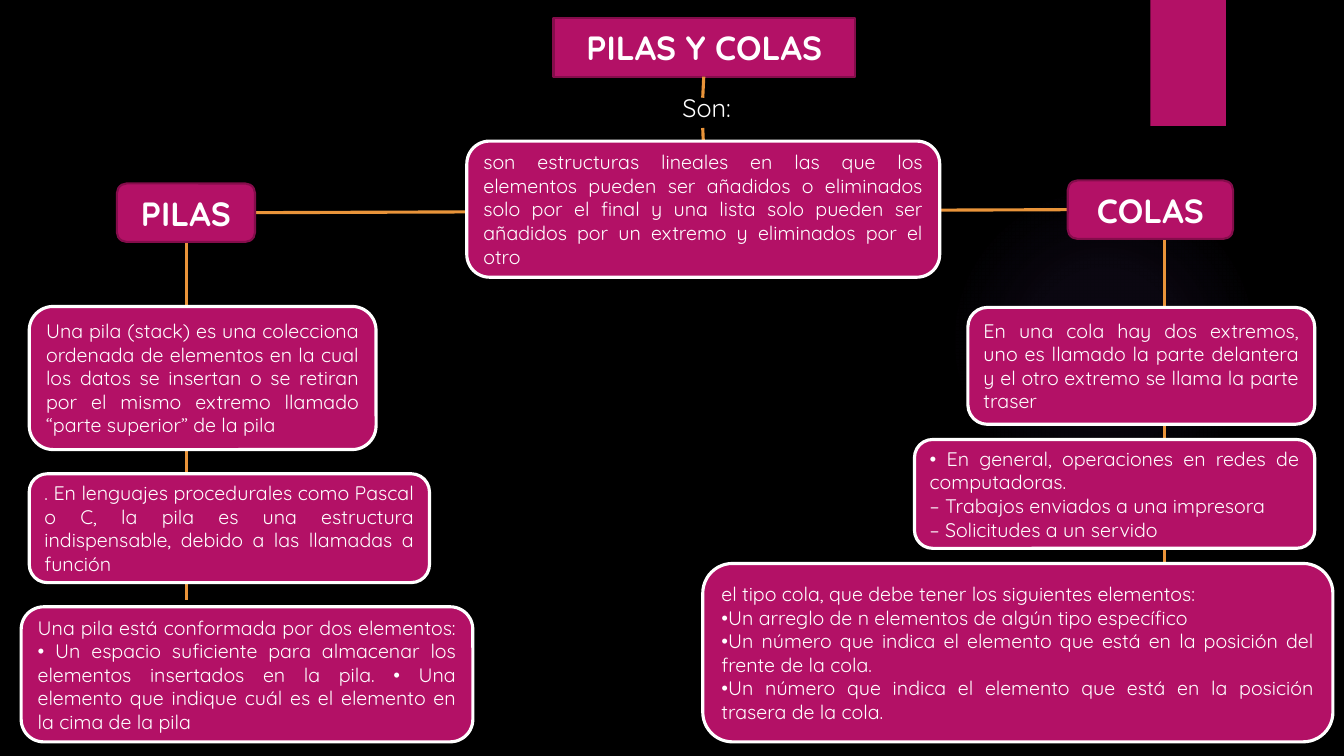
from lxml import etree
from pptx import Presentation, util as u
from pptx.dml.color import RGBColor
from pptx.enum import shapes, text
from pptx.oxml import ns

THEME = {
    "font": "Quicksand", "back": "000000", "ink": "FFFFFF", "box": "B31166",
    "edge": "840D4B", "link": "E9943A", "glow": "9B6BF2",
    "heading": 24, "label": 18, "body": 14, "rule": 2.25, "heading_rule": 1.5,
}
STYLES = {
    "heading": {"edge": "edge", "rule": "heading_rule", "size": "heading",
                "bold": True, "align": text.PP_ALIGN.CENTER},
    "body": {"edge": "ink", "rule": "rule", "size": "body",
             "bold": False, "align": text.PP_ALIGN.JUSTIFY},
}

TITLE = ("PILAS Y COLAS", (5.49, 0.18, 2.99, 0.58))
LABEL = ("Son:", (6.67, 0.87, 1.22, 0.4))
TOPICS = {
    "PILAS": (1.16, 1.82, 1.37, 0.58),
    "COLAS": (10.59, 1.79, 1.64, 0.58),
}
NOTES = [
    ((4.63, 1.4, 4.69, 1.35), [
        "son estructuras lineales en las que los elementos pueden ser añadidos o "
        "eliminados solo por el final y una lista solo pueden ser añadidos por un "
        "extremo y eliminados por el otro"]),
    ((0.29, 3.04, 3.44, 1.42), [
        "Una pila (stack) es una colecciona ordenada de elementos en la cual los "
        "datos se insertan o se retiran por el mismo extremo llamado “parte "
        "superior” de la pila"]),
    ((0.29, 4.7, 3.97, 1.08), [
        ". En lenguajes procedurales como Pascal o C, la pila es una estructura "
        "indispensable, debido a las llamadas a función"]),
    ((0.21, 6.02, 4.48, 1.34), [
        "Una pila está conformada por dos elementos: • Un espacio suficiente para "
        "almacenar los elementos insertados en la pila. • Una elemento que indique "
        "cuál es el elemento en la cima de la pila"]),
    ((9.6, 3.05, 3.44, 1.16), [
        "En una cola hay dos extremos, uno es llamado la parte delantera y el otro "
        "extremo se llama la parte traser"]),
    ((9.07, 4.36, 3.97, 1.08), [
        "• En general, operaciones en redes de computadoras.",
        "– Trabajos enviados a una impresora",
        "– Solicitudes a un servido"]),
    ((6.97, 5.59, 6.25, 1.77), [
        "el tipo cola, que debe tener los siguientes elementos:",
        "•Un arreglo de n elementos de algún tipo específico",
        "•Un número que indica el elemento que está en la posición del frente de la cola.",
        "•Un número que indica el elemento que está en la posición trasera de la cola."]),
]
LINKS = [
    (2.53, 2.11, 10.59, 2.08),
    (11.55, 2.37, 11.55, 5.91),
    (1.85, 2.4, 1.85, 5.95),
    (6.98, 0.76, 6.97, 0.97),
    (6.97, 1.27, 6.98, 1.51),
]
GLOW = (9.41, 1.83, 3.08, 3.08)
GLOW_STOPS = [(0, 7), (36, 6), (69, 0)]
TAB = (11.41, 0, 0.75, 1.25)


def color(role):
    """Return the theme colour of a role."""
    return RGBColor.from_string(THEME[role])


def inches(numbers):
    """Turn plain numbers into lengths."""
    return [u.Inches(number) for number in numbers]


def apply(target, values):
    """Set each attribute named in a dict."""
    for key, value in values.items():
        setattr(target, key, value)


def paint(shape, fill, edge=None, rule="rule"):
    """Give a shape a flat fill and an optional outline."""
    shape.fill.solid()
    shape.fill.fore_color.rgb = color(fill)
    if edge:
        shape.line.fill.solid()
        shape.line.fill.fore_color.rgb = color(edge)
        shape.line.width = u.Pt(THEME[rule])
    else:
        shape.line.fill.background()


def write(shape, lines, size, bold=False, align=text.PP_ALIGN.LEFT):
    """Fill a shape with one paragraph for each line."""
    frame = shape.text_frame
    frame.text = "\n".join(lines)
    for paragraph in frame.paragraphs:
        paragraph.alignment = align
        font = paragraph.runs[0].font
        apply(font, {"name": THEME["font"], "size": u.Pt(THEME[size]), "bold": bold})
        font.color.rgb = color("ink")


def add_plain(slide, kind, place):
    """Add a preset shape without a shadow."""
    shape = slide.shapes.add_shape(kind, *inches(place))
    shape.shadow.inherit = False
    return shape


def dress(box, lines, style):
    """Paint a box and write its text in one of the styles."""
    look = STYLES[style]
    paint(box, "box", look["edge"], look["rule"])
    apply(box.text_frame, {"word_wrap": True, "auto_size": text.MSO_AUTO_SIZE.NONE,
                           "vertical_anchor": text.MSO_ANCHOR.MIDDLE})
    write(box, lines, look["size"], look["bold"], look["align"])


def add_box(slide, place, lines, style):
    """Add a rounded box with text."""
    dress(add_plain(slide, shapes.MSO_SHAPE.ROUNDED_RECTANGLE, place), lines, style)


def add_title(slide, title, place):
    """Turn the title placeholder into a rounded heading box."""
    heading = slide.shapes.title
    apply(heading, dict(zip(("left", "top", "width", "height"), inches(place))))
    outline = etree.SubElement(heading.element.spPr, ns.qn("a:prstGeom"), prst="roundRect")
    etree.SubElement(outline, ns.qn("a:avLst"))
    dress(heading, [title], "heading")


def add_glow(slide):
    """Add the faint round glow that fades outwards."""
    glow = add_plain(slide, shapes.MSO_SHAPE.OVAL, GLOW)
    paint(glow, "glow")
    gradient = etree.Element(ns.qn("a:gradFill"))
    stops = etree.SubElement(gradient, ns.qn("a:gsLst"))
    for position, opacity in GLOW_STOPS:
        stop = etree.SubElement(stops, ns.qn("a:gs"), pos=str(position * 1000))
        tint = etree.SubElement(stop, ns.qn("a:srgbClr"), val=THEME["glow"])
        etree.SubElement(tint, ns.qn("a:alpha"), val=str(opacity * 1000))
    circle = etree.SubElement(gradient, ns.qn("a:path"), path="circle")
    etree.SubElement(circle, ns.qn("a:fillToRect"), dict.fromkeys("ltrb", "50000"))
    properties = glow.element.spPr
    properties.replace(properties.find(ns.qn("a:solidFill")), gradient)


def add_link(slide, ends):
    """Add a straight line between two points."""
    link = slide.shapes.add_connector(shapes.MSO_CONNECTOR.STRAIGHT, *inches(ends))
    link.line.color.rgb = color("link")
    link.line.width = u.Pt(THEME["rule"])
    etree.SubElement(link.element.spPr, ns.qn("a:effectLst"))


def add_label(slide, words, place):
    """Add the linking word between the title and its definition."""
    label = slide.shapes.add_textbox(*inches(place))
    apply(label.text_frame, {"word_wrap": True,
                             "auto_size": text.MSO_AUTO_SIZE.SHAPE_TO_FIT_TEXT})
    write(label, [words], "label")


def build():
    """Build the concept map and save it."""
    deck = Presentation()
    apply(deck, {"slide_width": u.Inches(13.33), "slide_height": u.Inches(7.5)})
    slide = deck.slides.add_slide(deck.slide_layouts[5])
    slide.background.fill.solid()
    slide.background.fill.fore_color.rgb = color("back")

    add_title(slide, *TITLE)
    add_glow(slide)
    paint(add_plain(slide, shapes.MSO_SHAPE.RECTANGLE, TAB), "box")
    for ends in LINKS:
        add_link(slide, ends)
    add_label(slide, *LABEL)
    for topic, place in TOPICS.items():
        add_box(slide, place, [topic], "heading")
    for place, lines in NOTES:
        add_box(slide, place, lines, "body")
    deck.save("out.pptx")


build()
